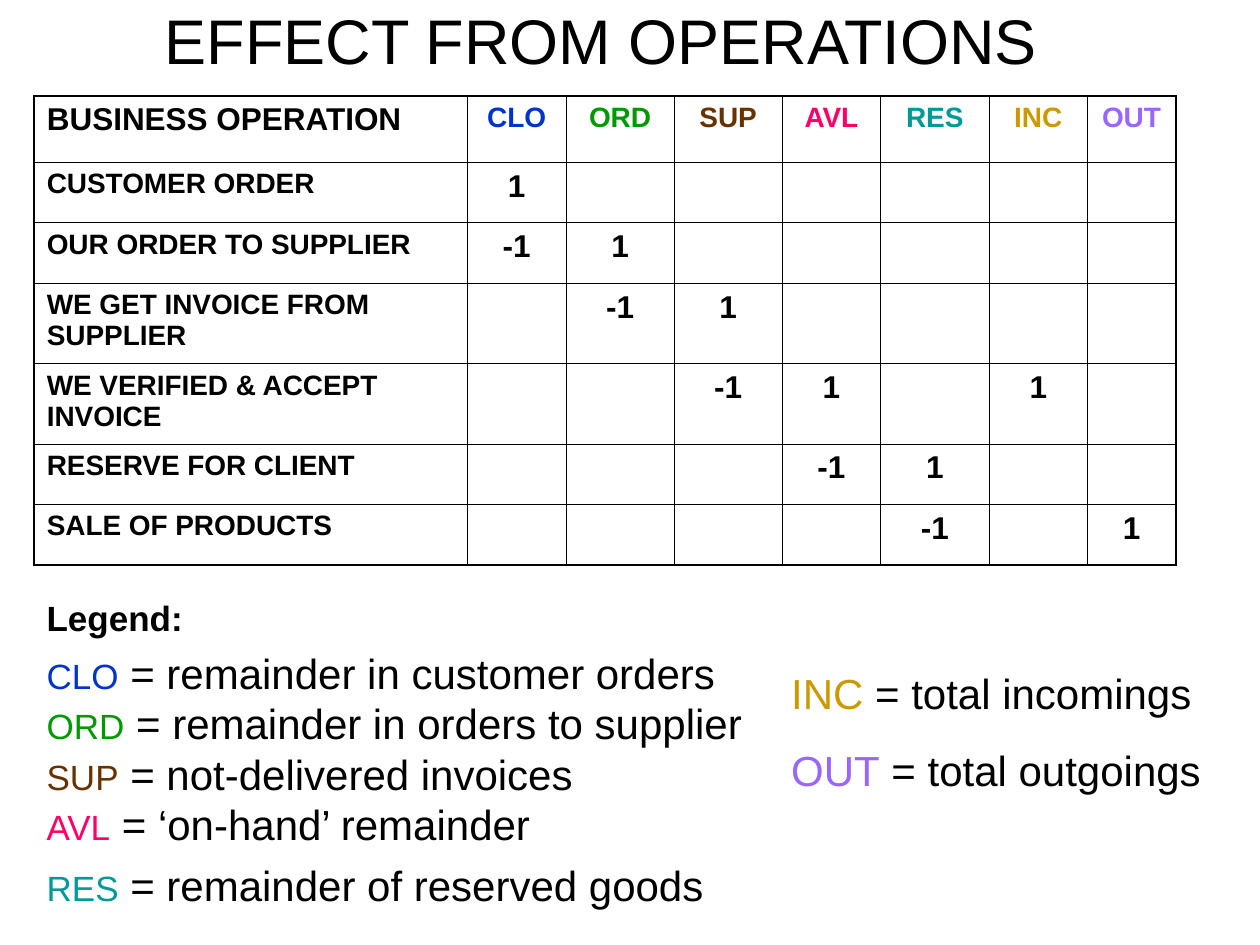
from lxml import etree
from pptx import Presentation
from pptx.dml.color import RGBColor
from pptx.enum.text import MSO_ANCHOR, PP_ALIGN
from pptx.oxml.ns import qn
from pptx.util import Cm, Pt

LEFT, CENTER = PP_ALIGN.LEFT, PP_ALIGN.CENTER
MIDDLE = MSO_ANCHOR.MIDDLE
FONT = "Arial"
TITLE_ONLY = 5

BLACK = RGBColor(0x00, 0x00, 0x00)
CODE_COLORS = {
    "CLO": RGBColor(0x00, 0x33, 0xCC),
    "ORD": RGBColor(0x00, 0x99, 0x00),
    "SUP": RGBColor(0x66, 0x33, 0x00),
    "AVL": RGBColor(0xFF, 0x00, 0x66),
    "RES": RGBColor(0x00, 0x99, 0x99),
    "INC": RGBColor(0xCC, 0x99, 0x00),
    "OUT": RGBColor(0x99, 0x66, 0xFF),
}

# Each operation with its effect on the codes
OPERATIONS = [
    ("CUSTOMER ORDER", {"CLO": "1"}),
    ("OUR ORDER TO SUPPLIER", {"CLO": "-1", "ORD": "1"}),
    ("WE GET INVOICE FROM SUPPLIER", {"ORD": "-1", "SUP": "1"}),
    ("WE VERIFIED & ACCEPT INVOICE", {"SUP": "-1", "AVL": "1", "INC": "1"}),
    ("RESERVE FOR CLIENT", {"AVL": "-1", "RES": "1"}),
    ("SALE OF PRODUCTS", {"RES": "-1", "OUT": "1"}),
]
COLUMN_WIDTHS = [8.73, 1.99, 2.18, 2.18, 1.98, 2.19, 1.98, 1.78]
ROW_HEIGHTS = [1.34, 1.22, 1.22, 1.62, 1.62, 1.22, 1.22]
THIN, THICK = Pt(0.45), Pt(1.08)

# Code, meaning, space before in points
REMAINDERS = [
    ("CLO", "remainder in customer orders", 6),
    ("ORD", "remainder in orders to supplier", 0),
    ("SUP", "not-delivered invoices", 0),
    ("AVL", "‘on-hand’ remainder", 0),
    ("RES", "remainder of reserved goods", 6),
]
TOTALS = [("INC", "total incomings", 15), ("OUT", "total outgoings", 15)]


def add_run(paragraph, text, size, color=BLACK, bold=False):
    run = paragraph.add_run()
    run.text = text
    run.font.name = FONT
    run.font.size = Pt(size)
    run.font.bold = bold
    run.font.color.rgb = color


def format_title(slide, text):
    title = slide.shapes.title
    title.left, title.top, title.width, title.height = Cm(0.69), Cm(0), Cm(22.86), Cm(1.6)
    frame = title.text_frame
    frame.vertical_anchor = MIDDLE
    frame.margin_left = frame.margin_right = frame.margin_top = frame.margin_bottom = 0
    paragraph = frame.paragraphs[0]
    paragraph.alignment = CENTER
    add_run(paragraph, text, 36)


def set_borders(cell, widths):
    properties = cell._tc.get_or_add_tcPr()
    for position, (side, width) in enumerate(widths.items()):
        line = etree.Element(qn(f"a:{side}"), w=str(width))
        fill = etree.SubElement(line, qn("a:solidFill"))
        etree.SubElement(fill, qn("a:srgbClr"), val=str(BLACK))
        properties.insert(position, line)


def fill_cell(cell, text, size, color=BLACK, alignment=CENTER):
    paragraph = cell.text_frame.paragraphs[0]
    paragraph.alignment = alignment
    paragraph.space_before = Pt(size / 4)
    if text:
        add_run(paragraph, text, size, color, bold=True)


def add_operations_table(slide):
    row_count, column_count = len(ROW_HEIGHTS), len(COLUMN_WIDTHS)
    frame = slide.shapes.add_table(
        row_count, column_count, Cm(0.69), Cm(1.93),
        Cm(sum(COLUMN_WIDTHS)), Cm(sum(ROW_HEIGHTS)))
    table = frame.table
    table.first_row = table.horz_banding = False
    for column, width in zip(table.columns, COLUMN_WIDTHS):
        column.width = Cm(width)
    for row, height in zip(table.rows, ROW_HEIGHTS):
        row.height = Cm(height)

    # Thick frame around a thin grid
    for r in range(row_count):
        for c in range(column_count):
            cell = table.cell(r, c)
            cell.fill.background()
            set_borders(cell, {
                "lnL": THICK if c == 0 else THIN,
                "lnR": THICK if c == column_count - 1 else THIN,
                "lnT": THICK if r == 0 else THIN,
                "lnB": THICK if r == row_count - 1 else THIN,
            })

    # Header row
    fill_cell(table.cell(0, 0), "BUSINESS OPERATION", 18, alignment=LEFT)
    for c, (code, color) in enumerate(CODE_COLORS.items(), start=1):
        fill_cell(table.cell(0, c), code, 16, color)

    # Operation rows
    for r, (operation, effects) in enumerate(OPERATIONS, start=1):
        fill_cell(table.cell(r, 0), operation, 16, alignment=LEFT)
        for c, code in enumerate(CODE_COLORS, start=1):
            fill_cell(table.cell(r, c), effects.get(code, ""), 18)


def add_text_frame(slide, left, top, width, height):
    box = slide.shapes.add_textbox(Cm(left), Cm(top), Cm(width), Cm(height))
    box.text_frame.word_wrap = True
    return box.text_frame


def add_legend(slide, entries, code_size, left, top, width, height):
    frame = add_text_frame(slide, left, top, width, height)
    for index, (code, meaning, space) in enumerate(entries):
        paragraph = frame.add_paragraph() if index else frame.paragraphs[0]
        paragraph.space_before = Pt(space)
        add_run(paragraph, code, code_size, CODE_COLORS[code])
        add_run(paragraph, f" = {meaning}", 24)


def main():
    presentation = Presentation()
    presentation.slide_width, presentation.slide_height = Cm(25.4), Cm(19.05)
    slide = presentation.slides.add_slide(presentation.slide_layouts[TITLE_ONLY])

    format_title(slide, "EFFECT FROM OPERATIONS")
    add_operations_table(slide)

    # Legend below the table
    add_legend(slide, REMAINDERS, 20, 0.69, 12.93, 14.6, 5.56)
    add_legend(slide, TOTALS, 24, 15.7, 13.34, 9, 2.82)
    heading = add_text_frame(slide, 0.69, 11.91, 9.2, 1.12).paragraphs[0]
    heading.space_before = Pt(12.5)
    add_run(heading, "Legend:", 20, bold=True)

    presentation.save("out.pptx")


if __name__ == "__main__":
    main()
